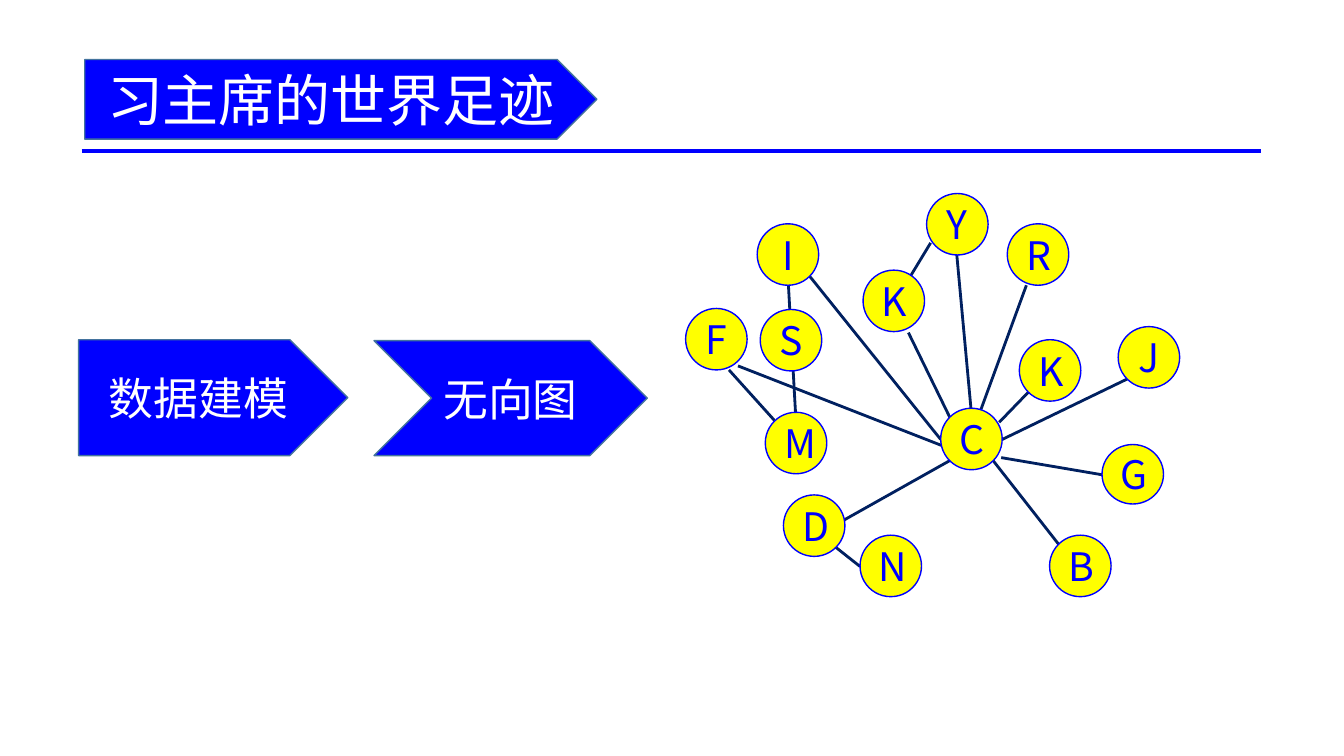
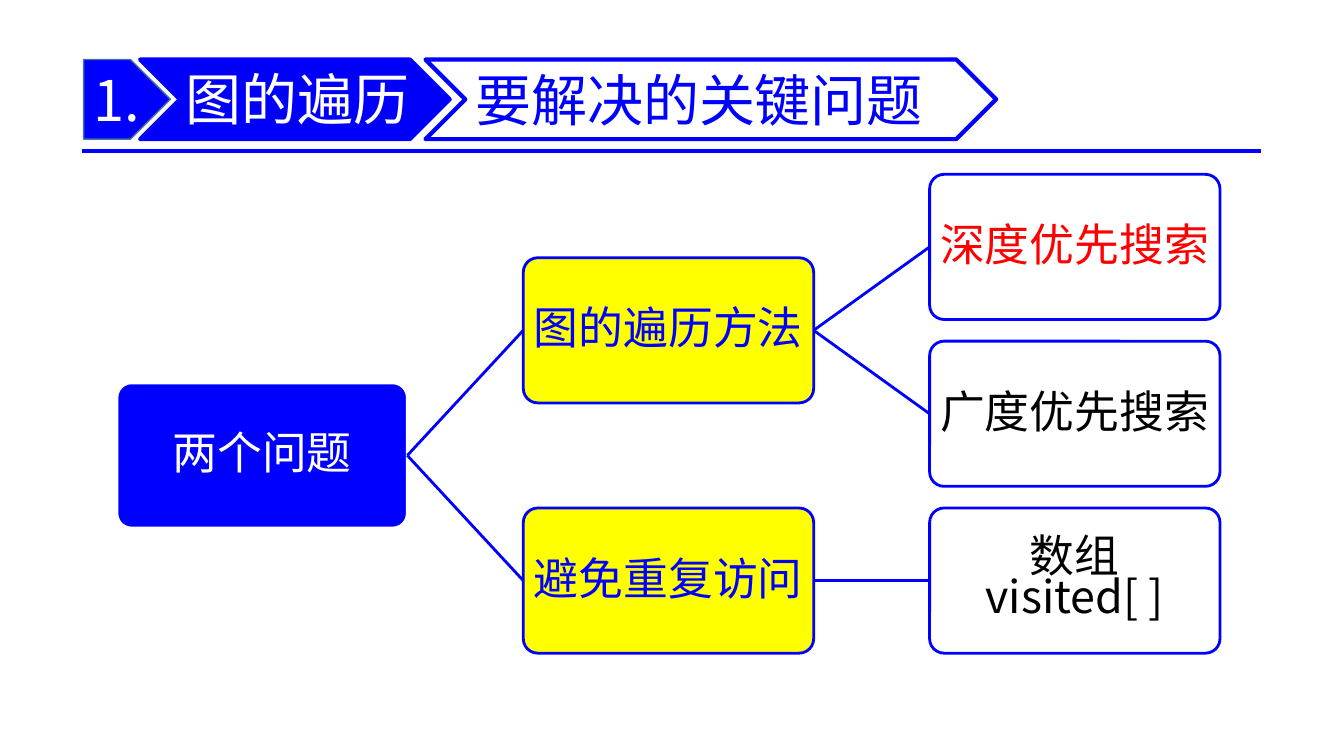
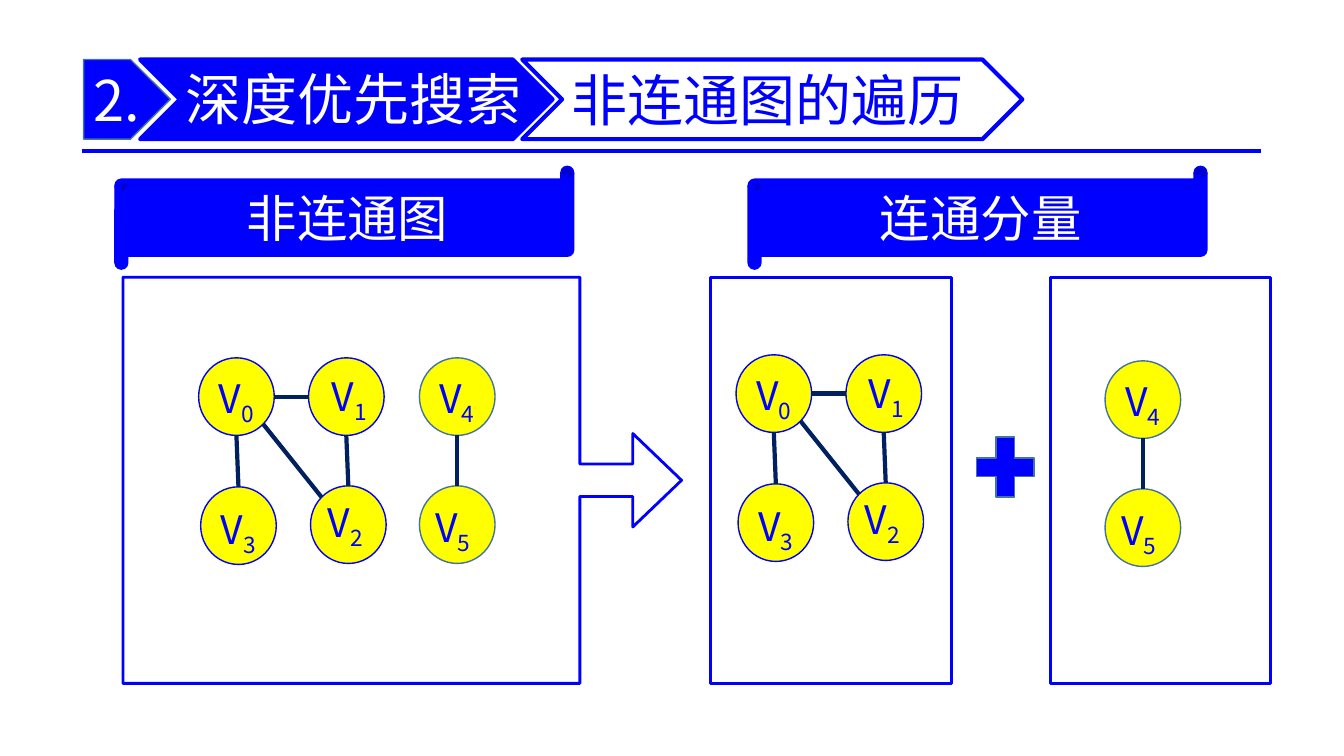
from dataclasses import dataclass
from math import cos, radians, sin
from typing import NamedTuple

from lxml import etree
from pptx import Presentation
from pptx.dml.color import RGBColor
from pptx.enum.shapes import MSO_CONNECTOR, MSO_SHAPE
from pptx.enum.text import MSO_ANCHOR, PP_ALIGN
from pptx.oxml.ns import qn
from pptx.util import Inches, Pt

PENTAGON = MSO_SHAPE.PENTAGON
CHEVRON = MSO_SHAPE.CHEVRON
OVAL = MSO_SHAPE.OVAL
ROUNDED = MSO_SHAPE.ROUNDED_RECTANGLE
RECTANGLE = MSO_SHAPE.RECTANGLE
SCROLL = MSO_SHAPE.HORIZONTAL_SCROLL
CALLOUT = MSO_SHAPE.RIGHT_ARROW_CALLOUT
PLUS = MSO_SHAPE.MATH_PLUS
STRAIGHT = MSO_CONNECTOR.STRAIGHT
CENTER, LEFT = PP_ALIGN.CENTER, PP_ALIGN.LEFT
MIDDLE, TOP = MSO_ANCHOR.MIDDLE, MSO_ANCHOR.TOP
SIDE_LEFT, SIDE_RIGHT = 1, 3


@dataclass(frozen=True)
class Theme:
    font: str = "Noto Sans CJK SC"
    blue: str = "0000FF"
    heading_blue: str = "0000FA"
    navy: str = "002060"
    steel: str = "43739E"
    yellow: str = "FFFF00"
    red: str = "FF0000"
    white: str = "FFFFFF"
    black: str = "000000"
    title_size: int = 40
    banner_size: int = 36
    body_size: int = 32
    node_size: int = 28
    insets: tuple[float, ...] = (0.1, 0.05, 0.1, 0.05)


THEME = Theme()


class Box(NamedTuple):
    left: float
    top: float
    width: float
    height: float


class Point(NamedTuple):
    x: float
    y: float


class Segment(NamedTuple):
    start: Point
    end: Point


class Country(NamedTuple):
    letter: str
    left: float
    top: float
    height: float = 0.61


class Vertex(NamedTuple):
    index: str
    offset: Point
    label: Point
    outline: str = THEME.blue


class Edge(NamedTuple):
    start: str
    start_angle: int
    end: str
    end_angle: int


class TreeBox(NamedTuple):
    text: str
    column: int
    row: float
    fill: str
    outline: str
    color: str
    parent: int | None = None
    spacing: float = 0.9


def write_text(frame, text, *, size, color, align=CENTER, anchor=MIDDLE,
               insets=THEME.insets, spacing=None, subscript=""):
    frame.word_wrap = True
    frame.vertical_anchor = anchor
    (frame.margin_left, frame.margin_top,
     frame.margin_right, frame.margin_bottom) = map(Inches, insets)
    paragraph = frame.paragraphs[0]
    paragraph.alignment = align
    if spacing:
        paragraph.line_spacing = spacing
    paragraph.text = text
    if subscript:
        run = paragraph.add_run()
        run.text = subscript
        run._r.get_or_add_rPr().set("baseline", "-25000")
    for run in paragraph.runs:
        run.font.size = Pt(size)
        run.font.color.rgb = RGBColor.from_string(color)
        run.font.name = THEME.font
        east_asian = etree.SubElement(run._r.get_or_add_rPr(), qn("a:ea"))
        east_asian.set("typeface", THEME.font)


def add_shape(slide, kind, box: Box, fill: str, outline: str, width: float = 1,
              adjustments: tuple[float, ...] = ()):
    shape = slide.shapes.add_shape(kind, *map(Inches, box))
    shape.shadow.inherit = False
    shape.fill.solid()
    shape.fill.fore_color.rgb = RGBColor.from_string(fill)
    shape.line.color.rgb = RGBColor.from_string(outline)
    shape.line.width = Pt(width)
    for position, value in enumerate(adjustments):
        shape.adjustments[position] = value
    return shape


def add_label(slide, box: Box, text: str, **text_format):
    label = slide.shapes.add_textbox(*map(Inches, box))
    write_text(label.text_frame, text, **text_format)


def add_line(slide, segment: Segment, color: str, width: float):
    line = slide.shapes.add_connector(
        STRAIGHT, *map(Inches, (*segment.start, *segment.end)))
    line.line.color.rgb = RGBColor.from_string(color)
    line.line.width = Pt(width)
    etree.SubElement(line._element.spPr, qn("a:effectLst"))
    return line


def add_base_slide(presentation):
    slide = presentation.slides.add_slide(presentation.slide_layouts[6])
    add_line(slide, Segment(Point(0.81, 1.5), Point(12.51, 1.5)), THEME.blue, 3)
    return slide


def add_heading(slide, number: str, topic: str, topic_width: float,
                detail: str, detail_left: float, detail_width: float):
    top, height = 0.59, 0.79
    left_title = {"size": THEME.title_size, "align": LEFT}
    outlined = add_shape(slide, CHEVRON, Box(detail_left, top, detail_width, height),
                         THEME.white, THEME.blue, 3)
    write_text(outlined.text_frame, detail, color=THEME.blue, **left_title)
    marker = add_shape(slide, PENTAGON, Box(0.83, top, 0.86, height),
                       THEME.blue, THEME.steel)
    write_text(marker.text_frame, number, color=THEME.white,
               insets=(0.1, 0.05, 0, 0.05), **left_title)
    add_shape(slide, CHEVRON, Box(1.39, top, topic_width, height),
              THEME.heading_blue, THEME.blue, 3)
    add_label(slide, Box(1.8, 0.43, 4, 1.08), topic, color=THEME.white,
              insets=(0.04, 0.02, 0, 0.02), **left_title)


COUNTRIES = [
    Country("B", 10.41, 5.31), Country("Y", 9.19, 1.92), Country("R", 9.99, 2.22),
    Country("C", 9.33, 4.05), Country("I", 7.51, 2.22), Country("M", 7.59, 4.09),
    Country("F", 6.8, 3.06), Country("K", 8.56, 2.68), Country("J", 11.09, 3.24),
    Country("K", 10.11, 3.37), Country("G", 10.93, 4.41, 0.59),
    Country("N", 8.53, 5.31), Country("D", 7.77, 4.91), Country("S", 7.54, 3.07),
]
ROUTES = [
    Segment(Point(10.18, 2.83), Point(9.73, 4.06)),
    Segment(Point(9.49, 2.53), Point(9.63, 4.05)),
    Segment(Point(8.03, 2.74), Point(9.33, 4.36)),
    Segment(Point(7.23, 3.67), Point(7.68, 4.17)),
    Segment(Point(7.82, 2.83), Point(7.89, 4.09)),
    Segment(Point(7.32, 3.63), Point(9.34, 4.42)),
    Segment(Point(9.23, 2.41), Point(9.03, 2.74)),
    Segment(Point(9.01, 3.3), Point(9.43, 4.16)),
    Segment(Point(10.2, 3.89), Point(9.91, 4.19)),
    Segment(Point(11.18, 3.76), Point(9.94, 4.36)),
    Segment(Point(9.93, 4.54), Point(10.93, 4.71)),
    Segment(Point(10.5, 5.4), Point(9.85, 4.57)),
    Segment(Point(9.42, 4.57), Point(8.37, 5.16)),
    Segment(Point(8.53, 5.62), Point(8.29, 5.43)),
]
MODEL_STEPS = [
    (PENTAGON, Box(0.84, 0.59, 5.08, 0.79), "习主席的世界足迹", THEME.title_size),
    (PENTAGON, Box(0.78, 3.37, 2.67, 1.15), "数据建模", THEME.body_size),
    (CHEVRON, Box(3.71, 3.38, 2.71, 1.14), "无向图", THEME.body_size),
]


def build_model_slide(presentation):
    slide = add_base_slide(presentation)
    for route in ROUTES:
        add_line(slide, route, THEME.navy, 2)
    for country in COUNTRIES:
        box = Box(country.left, country.top, 0.61, country.height)
        node = add_shape(slide, OVAL, box, THEME.yellow, THEME.blue)
        write_text(node.text_frame, country.letter,
                   size=THEME.node_size, color=THEME.blue)
    for kind, box, text, size in MODEL_STEPS:
        arrow = add_shape(slide, kind, box, THEME.blue, THEME.steel)
        write_text(arrow.text_frame, text, size=size, color=THEME.white)


TREE = [
    TreeBox("两个问题", 0, 1.25, THEME.blue, THEME.white, THEME.white),
    TreeBox("图的遍历方法", 1, 0.5, THEME.yellow, THEME.blue, THEME.blue, 0),
    TreeBox("避免重复访问", 1, 2, THEME.yellow, THEME.blue, THEME.blue, 0),
    TreeBox("深度优先搜索", 2, 0, THEME.white, THEME.blue, THEME.red, 1),
    TreeBox("广度优先搜索", 2, 1, THEME.white, THEME.blue, THEME.black, 1),
    TreeBox("数组\vvisited[ ]", 2, 2, THEME.white, THEME.blue, THEME.black, 2, 0.77),
]


def build_tree_slide(presentation):
    slide = add_base_slide(presentation)
    add_heading(slide, "1.", "图的遍历", 3.07, "要解决的关键问题", 4.22, 5.66)
    drawn = []
    for item in TREE:
        box = Box(1.16 + 4.03 * item.column, 1.73 + 1.655 * item.row, 2.88, 1.44)
        shape = add_shape(slide, ROUNDED, box, item.fill, item.outline, 2, (0.1,))
        write_text(shape.text_frame, item.text, size=THEME.body_size,
                   color=item.color, insets=(0.02,) * 4, spacing=item.spacing)
        drawn.append(shape)
        if item.parent is not None:
            branch = add_line(slide, Segment(Point(0, 0), Point(1, 1)), THEME.blue, 2)
            branch.begin_connect(drawn[item.parent], SIDE_RIGHT)
            branch.end_connect(shape, SIDE_LEFT)


NODE_WIDTH, NODE_HEIGHT = 0.75, 0.77
VERTICES = [
    Vertex("0", Point(0, 0), Point(0.1, 0.11)),
    Vertex("1", Point(1.09, 0), Point(0.13, 0.09)),
    Vertex("2", Point(1.11, 1.27), Point(0.07, 0.07)),
    Vertex("3", Point(0.02, 1.28), Point(0.1, 0.13)),
    Vertex("4", Point(2.19, 0), Point(0.1, 0.11), THEME.steel),
    Vertex("5", Point(2.19, 1.27), Point(0.06, 0.12), THEME.steel),
]
EDGES = [
    Edge("0", 0, "1", 180), Edge("0", 90, "3", 270), Edge("1", 90, "2", 270),
    Edge("0", 45, "2", 225), Edge("4", 90, "5", 270),
]


def rim_point(box: Box, angle: int) -> Point:
    return Point(box.left + box.width / 2 * (1 + cos(radians(angle))),
                 box.top + box.height / 2 * (1 + sin(radians(angle))))


def add_graph(slide, origin: Point, indices: str):
    boxes = {}
    vertices = [vertex for vertex in VERTICES if vertex.index in indices]
    for vertex in vertices:
        box = Box(origin.x + vertex.offset.x, origin.y + vertex.offset.y,
                  NODE_WIDTH, NODE_HEIGHT)
        boxes[vertex.index] = box
        add_shape(slide, OVAL, box, THEME.yellow, vertex.outline)
    for edge in EDGES:
        if edge.start in boxes and edge.end in boxes:
            segment = Segment(rim_point(boxes[edge.start], edge.start_angle),
                              rim_point(boxes[edge.end], edge.end_angle))
            add_line(slide, segment, THEME.navy, 3)
    for vertex in vertices:
        box = boxes[vertex.index]
        add_label(slide, Box(box.left + vertex.label.x, box.top + vertex.label.y,
                             0.68, 0.57),
                  "V", subscript=vertex.index, size=THEME.node_size,
                  color=THEME.blue, align=LEFT, anchor=TOP)


def build_components_slide(presentation):
    slide = add_base_slide(presentation)
    add_heading(slide, "2.", "深度优先搜索", 4.09, "非连通图的遍历", 5.18, 4.96)
    for text, left in (("非连通图", 1.14), ("连通分量", 7.42)):
        banner = add_shape(slide, SCROLL, Box(left, 1.65, 4.55, 1.02),
                           THEME.blue, THEME.blue)
        write_text(banner.text_frame, text, size=THEME.banner_size, color=THEME.white)
    panels = [
        (CALLOUT, 1.22, 5.54, (0.08, 0.115, 0.12, 0.818), Point(1.97, 3.55), "012345"),
        (RECTANGLE, 7.05, 2.39, (), Point(7.3, 3.52), "0123"),
        (RECTANGLE, 10.42, 2.18, (), Point(8.77, 3.58), "45"),
    ]
    for kind, left, width, adjustments, origin, indices in panels:
        add_shape(slide, kind, Box(left, 2.75, width, 4.03),
                  THEME.white, THEME.blue, 2, adjustments)
        add_graph(slide, origin, indices)
    add_shape(slide, PLUS, Box(9.58, 4.23, 0.78, 0.81), THEME.blue, THEME.steel)


def main():
    presentation = Presentation()
    presentation.slide_width = Inches(13.33)
    presentation.slide_height = Inches(7.5)
    build_model_slide(presentation)
    build_tree_slide(presentation)
    build_components_slide(presentation)
    presentation.save("out.pptx")


if __name__ == "__main__":
    main()
